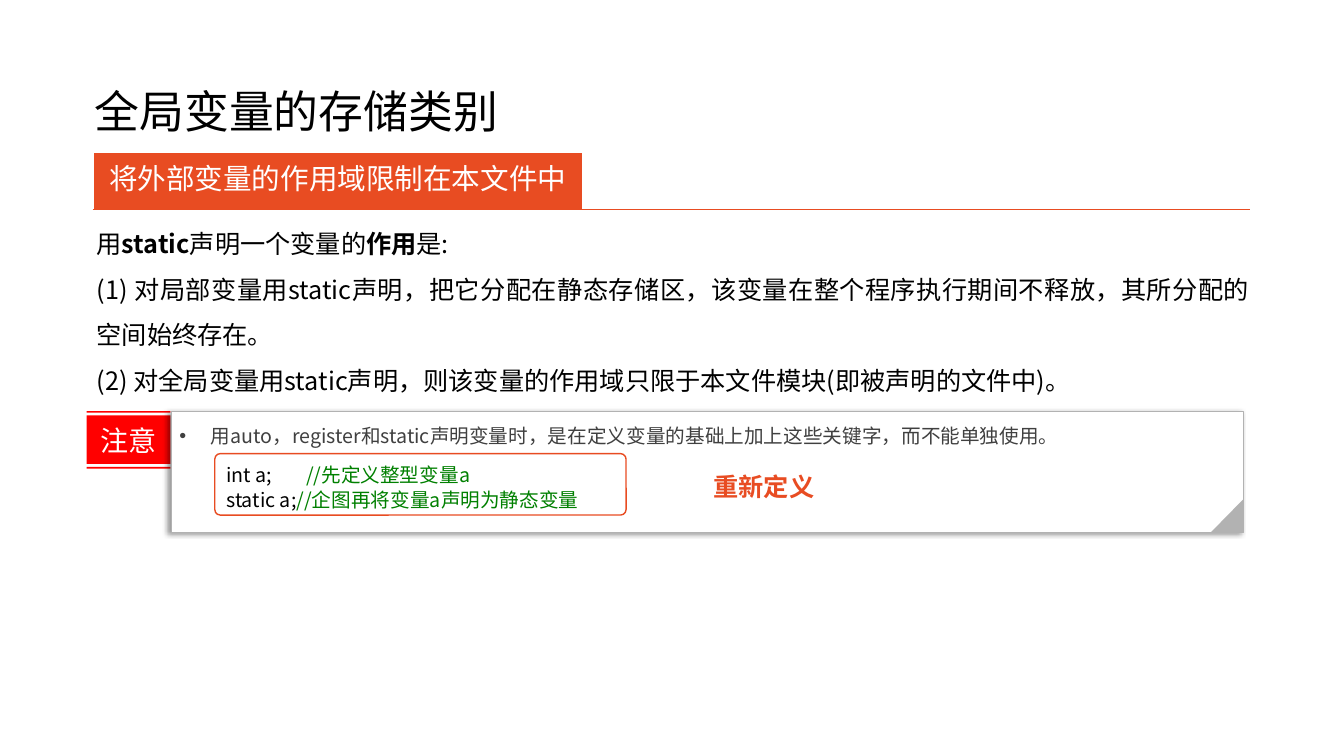
from dataclasses import dataclass, field

from pptx import Presentation
from pptx.dml.color import RGBColor
from pptx.enum.shapes import MSO_CONNECTOR, MSO_SHAPE
from pptx.enum.text import MSO_ANCHOR, PP_ALIGN
from pptx.oxml.xmlchemy import OxmlElement
from pptx.util import Inches, Pt

FONT = "Noto Sans CJK SC"
HUES = {"white": "FFFFFF", "black": "000000", "orange": "E84C22", "red": "FF0000",
        "grey": "B2B2B2", "dark": "404040", "green": "008000"}

deck = Presentation()
deck.slide_width, deck.slide_height = Inches(13.33), Inches(7.5)
slide = deck.slides.add_slide(deck.slide_layouts[6])


def across(share: float) -> int:
    """Percent of the slide's width."""
    return round(deck.slide_width * share / 100)


def down(share: float) -> int:
    """Percent of the slide's height."""
    return round(deck.slide_height * share / 100)


@dataclass
class Run:
    text: str
    hue: str = "black"
    bold: bool = False


@dataclass
class Block:
    """Text as a list of lines, each a list of runs."""
    lines: list[list[Run]]
    size: float
    form: dict = field(default_factory=dict)   # paragraph values
    frame: dict = field(default_factory=dict)  # text frame values


@dataclass
class Box:
    """A panel or text box placed by percent of the slide."""
    left: float
    top: float
    width: float
    height: float
    kind: MSO_SHAPE | None = None
    fill: str = ""
    line: str = ""
    weight: float = 1
    turn: int = 0
    round: float | None = None
    block: Block | None = None


def add_node(parent, tag: str, **values: str):
    node = OxmlElement(tag)
    for name, value in values.items():
        node.set(name, value)
    parent.append(node)
    return node


def assign(target, values: dict) -> None:
    for name, value in values.items():
        setattr(target, name, value)


def tint(hue: str) -> RGBColor:
    return RGBColor.from_string(HUES[hue])


def write(shape, block: Block) -> None:
    frame = shape.text_frame
    assign(frame, {"word_wrap": True, "vertical_anchor": MSO_ANCHOR.TOP} | block.frame)
    for count, line in enumerate(block.lines):
        para = frame.add_paragraph() if count else frame.paragraphs[0]
        assign(para, {"alignment": PP_ALIGN.LEFT} | block.form)
        for part in line:
            run = para.add_run()
            run.text = part.text
            assign(run.font, {"size": Pt(block.size), "bold": part.bold, "name": FONT})
            run.font.color.rgb = tint(part.hue)
            add_node(run.font._element, "a:ea", typeface=FONT)


def paint(shape, fill: str, line: str = "", weight: float = 1) -> None:
    shape.shadow.inherit = False
    if fill:
        shape.fill.solid()
        shape.fill.fore_color.rgb = tint(fill)
    if line:
        shape.line.color.rgb = tint(line)
        shape.line.width = Pt(weight)
    else:
        shape.line.fill.background()


def draw(box: Box):
    place = (across(box.left), down(box.top), across(box.width), down(box.height))
    if box.kind is None:
        shape = slide.shapes.add_textbox(*place)
    else:
        shape = slide.shapes.add_shape(box.kind, *place)
        paint(shape, box.fill, box.line, box.weight)
        shape.rotation = box.turn
        if box.round is not None:
            shape.adjustments[0] = box.round
    if box.block:
        write(shape, box.block)
    return shape


def draw_tag(left: float, right: float, bands: list[tuple[float, float]], block: Block) -> None:
    """One outline made of stacked bands."""
    pen = slide.shapes.build_freeform(across(left), down(bands[0][0]))
    for count, (top, base) in enumerate(bands):
        if count:
            pen.move_to(across(left), down(top))
        pen.add_line_segments([(across(right), down(top)), (across(right), down(base)),
                               (across(left), down(base))], close=True)
    tag = pen.convert_to_shape()
    paint(tag, "red")
    write(tag, block)


def cast(shape) -> None:
    """Soft shadow towards the left."""
    glow = add_node(shape.shadow._element.find(".//{*}effectLst"), "a:outerShdw",
                    blurRad=str(Pt(4)), dist=str(Pt(3)), dir="10800000",
                    algn="ctr", rotWithShape="0")
    shade = add_node(glow, "a:srgbClr", val=HUES["black"])
    add_node(shade, "a:alpha", val="40000")


MID = {"vertical_anchor": MSO_ANCHOR.MIDDLE}
EDGES = ("margin_left", "margin_top", "margin_right", "margin_bottom")
LEFT, RIGHT, RULE, NOTE = 6.9, 93, 27.73, 54.4

# Title and banner
draw(Box(6.3, 5.47, 86.25, 19.33, block=Block(
    [[Run("全局变量的存储类别")]], 32, {"line_spacing": 0.9}, MID)))
draw(Box(LEFT, 20.13, 36.45, 7.73, MSO_SHAPE.RECTANGLE, "orange", "white", 1.5, block=Block(
    [[Run("将外部变量的作用域限制在本文件中", "white")]], 20.4,
    {"alignment": PP_ALIGN.CENTER, "line_spacing": 0.8}, MID)))

# Rule and body text
rule = slide.shapes.add_connector(MSO_CONNECTOR.STRAIGHT, across(LEFT), down(RULE),
                                  across(RIGHT), down(RULE))
rule.line.color.rgb = tint("orange")
rule.line.width = Pt(1)
add_node(rule._element.spPr, "a:effectLst")
draw(Box(LEFT, RULE, RIGHT - LEFT, 26.53, block=Block(
    [[Run("用"), Run("static", bold=True), Run("声明一个变量的"),
      Run("作用", bold=True), Run("是:")],
     [Run("(1) 对局部变量用static声明，把它分配在静态存储区，该变量在整个程序执行期间不释放，"
          "其所分配的空间始终存在。")],
     [Run("(2) 对全局变量用static声明，则该变量的作用域只限于本文件模块(即被声明的文件中)。")]],
    18, {"alignment": PP_ALIGN.JUSTIFY, "line_spacing": 1.5},
    dict(zip(EDGES, (across(0.3), down(0.53), 0, 0))))))

# Note with its tag
draw_tag(6.45, 12.67, [(NOTE, 54.6), (54.95, 61.35), (61.75, 62)], Block(
    [[Run("注意", "white")]], 20, {"alignment": PP_ALIGN.CENTER}, MID))
note = draw(Box(12.75, NOTE, 79.8, 16, MSO_SHAPE.RECTANGLE, "white", "grey", 0.75, block=Block(
    [[Run("用auto，register和static声明变量时，是在定义变量的基础上加上这些关键字，"
          "而不能单独使用。", "dark")]],
    14, {"line_spacing": 1.2, "space_after": Pt(6)}, dict.fromkeys(EDGES, across(0.6)))))
cast(note)
props = note.text_frame.paragraphs[0]._p.get_or_add_pPr()
hang = across(2.33)
props.set("marL", str(hang))
props.set("indent", str(-hang))
add_node(props, "a:buFont", typeface="Arial")
add_node(props, "a:buChar", char="•")
draw(Box(90.08, 66.05, 2.47, 4.3, MSO_SHAPE.RIGHT_TRIANGLE, "grey", turn=270))

# Code and verdict
code = draw(Box(15.98, 60, 30.6, 8.13, MSO_SHAPE.ROUNDED_RECTANGLE, "white", "orange",
                round=0.09, block=Block(
    [[Run("int a;\t"), Run("//先定义整型变量a", "green")],
     [Run("static a;"), Run("//企图再将变量a声明为静态变量", "green")]],
    14, {"line_spacing": 1.1})))
tabs = add_node(code.text_frame.paragraphs[0]._p.get_or_add_pPr(), "a:tabLst")
add_node(tabs, "a:tab", pos=str(across(5.93)), algn="l")
draw(Box(52.35, 61.73, 9.08, 5.33, block=Block(
    [[Run("重新定义", "orange", True)]], 18, frame={"word_wrap": False})))

deck.save("out.pptx")
